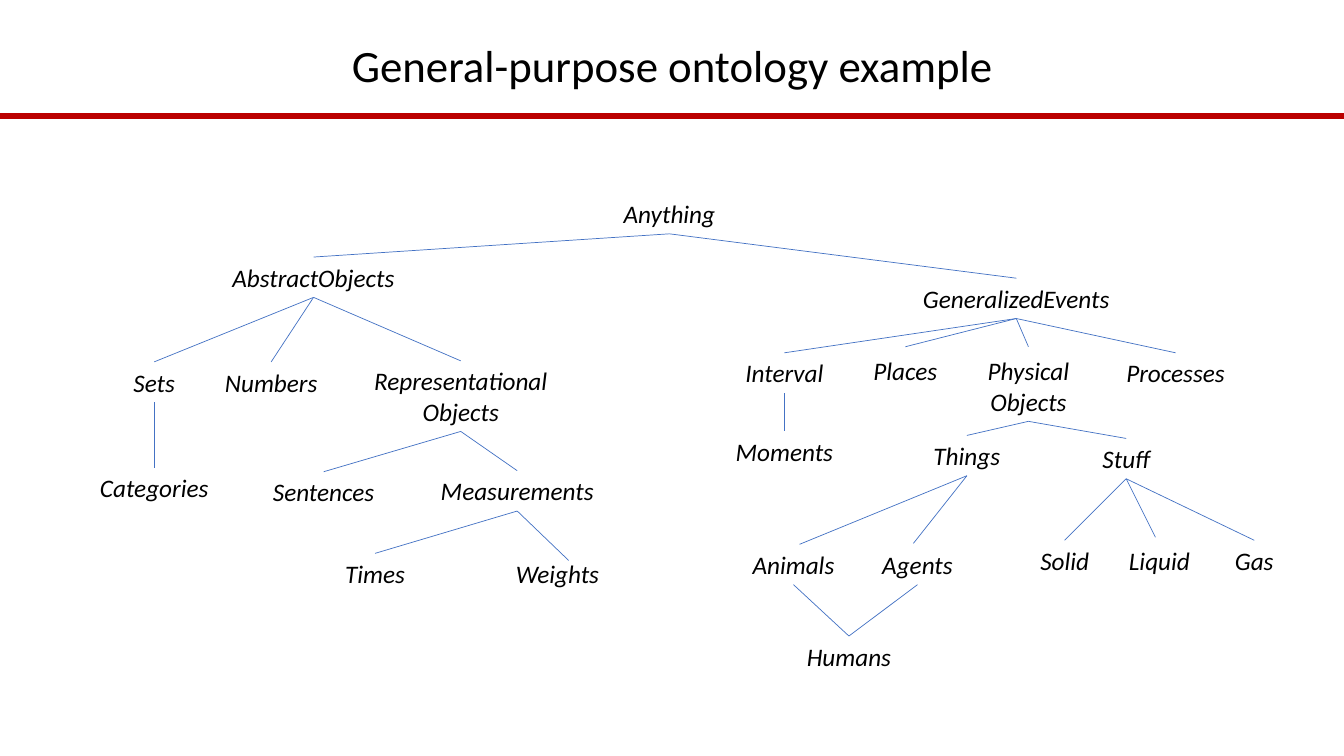
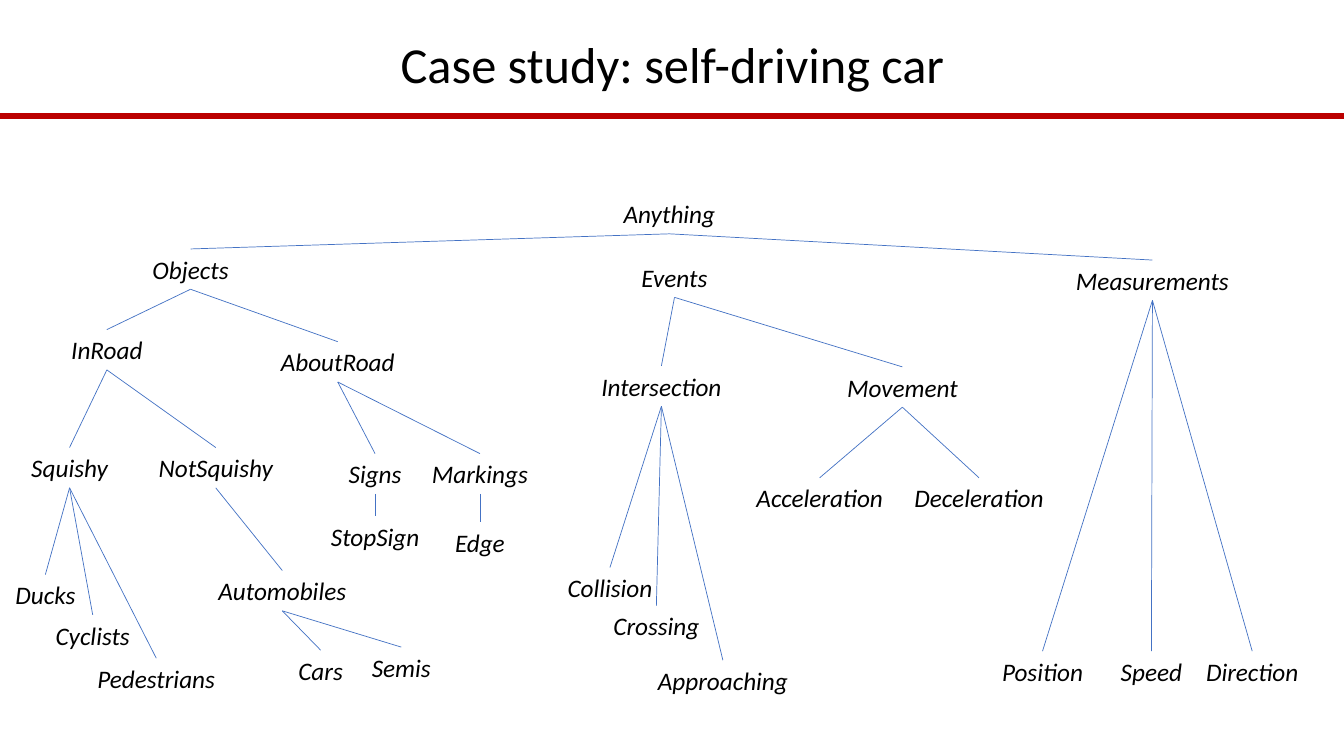
from dataclasses import dataclass

from lxml import etree
from pptx import Presentation, util as u
from pptx.dml.color import RGBColor
from pptx.enum import shapes, text
from pptx.oxml.ns import qn


@dataclass(frozen=True)
class Theme:
    font: str = "Calibri"
    ink: RGBColor = RGBColor(0, 0, 0)
    rule: RGBColor = RGBColor(0xBB, 0, 0)
    branch: RGBColor = RGBColor(0x44, 0x72, 0xC4)
    label_size: int = 18
    rule_width: float = 4
    branch_width: float = 0.5


@dataclass(frozen=True)
class Node:
    """A label centred on x; tip is a free end for the line that leads to it."""
    name: str
    parents: tuple
    x: float
    top: float
    width: float = 3.16
    height: float = 0.4
    tip: tuple = ()


class TreeDeck:
    width, height = 13.33, 7.5

    def __init__(self, theme):
        self.theme = theme
        self.deck = Presentation()
        self.deck.slide_width = u.Inches(self.width)
        self.deck.slide_height = u.Inches(self.height)
        self.layout = self.deck.slide_layouts.get_by_name("Title Only")
        self.page = None
        # Shared title position
        title = self.layout.placeholders[0]
        title.left, title.top = u.Inches(0.92), u.Inches(0.34)
        title.width, title.height = u.Inches(11.5), u.Inches(0.66)

    def style(self, para, size, italic=False):
        para.alignment = text.PP_ALIGN.CENTER
        para.font.name = self.theme.font
        para.font.size = u.Pt(size)
        para.font.italic = italic
        para.font.color.rgb = self.theme.ink

    def add_page(self, title, size):
        self.page = self.deck.slides.add_slide(self.layout)
        frame = self.page.shapes.title.text_frame
        frame.text = title
        frame.auto_size = text.MSO_AUTO_SIZE.NONE
        frame.vertical_anchor = text.MSO_ANCHOR.MIDDLE
        para = frame.paragraphs[0]
        para.line_spacing = 0.9
        self.style(para, size)
        if len(self.deck.slides) == 1:
            self.share_rule()

    def share_rule(self):
        """Put the red rule on the layout, so that every page shows it."""
        rule = self.line((0, 1.15), (self.width, 1.15),
                         self.theme.rule, self.theme.rule_width)
        rule.element.nvCxnSpPr.cNvPr.set("id", "20")
        self.layout.shapes.element.append(rule.element)

    def line(self, start, end, color, width):
        points = [u.Inches(value) for value in (*start, *end)]
        line = self.page.shapes.add_connector(shapes.MSO_CONNECTOR.STRAIGHT, *points)
        line.line.color.rgb = color
        line.line.width = u.Pt(width)
        etree.SubElement(line.element.spPr, qn("a:effectLst"))
        return line

    def label(self, node):
        box = self.page.shapes.add_textbox(
            u.Inches(node.x - node.width / 2), u.Inches(node.top),
            u.Inches(node.width), u.Inches(node.height))
        frame = box.text_frame
        frame.word_wrap = True
        frame.auto_size = text.MSO_AUTO_SIZE.SHAPE_TO_FIT_TEXT
        frame.text = node.name
        self.style(frame.paragraphs[0], self.theme.label_size, italic=True)
        return box

    def branch(self, parent_box, node, box):
        end = node.tip or (node.x, node.top)
        line = self.line((0, 0), end, self.theme.branch, self.theme.branch_width)
        line.begin_connect(parent_box, 2)
        if not node.tip:
            line.end_connect(box, 0)

    def tree(self, nodes):
        boxes = {}
        for node in nodes:
            boxes[node.name] = self.label(node)
        for node in nodes:
            for parent in node.parents:
                self.branch(boxes[parent], node, boxes[node.name])


ONTOLOGY = [
    Node("Anything", (), 6.64, 1.92),
    # Abstract side
    Node("AbstractObjects", ("Anything",), 3.11, 2.55),
    Node("Sets", ("AbstractObjects",), 1.53, 3.59),
    Node("Numbers", ("AbstractObjects",), 2.69, 3.59),
    Node("Representational Objects", ("AbstractObjects",), 4.57, 3.58, 2.33, 0.7),
    Node("Categories", ("Sets",), 1.53, 4.64),
    Node("Sentences", ("Representational Objects",), 3.21, 4.68),
    Node("Measurements", ("Representational Objects",), 5.13, 4.67),
    Node("Times", ("Measurements",), 3.72, 5.49),
    Node("Weights", ("Measurements",), 5.53, 5.49, tip=(5.64, 5.56)),
    # Event side
    Node("GeneralizedEvents", ("Anything",), 10.08, 2.76),
    Node("Interval", ("GeneralizedEvents",), 7.78, 3.5),
    Node("Places", ("GeneralizedEvents",), 8.98, 3.48, tip=(8.98, 3.44)),
    Node("Physical Objects", ("GeneralizedEvents",), 10.2, 3.48, 1.22, 0.7,
         tip=(10.2, 3.44)),
    Node("Processes", ("GeneralizedEvents",), 11.66, 3.5),
    Node("Moments", ("Interval",), 7.78, 4.28),
    Node("Things", ("Physical Objects",), 9.59, 4.32),
    Node("Stuff", ("Physical Objects",), 11.17, 4.35),
    Node("Animals", ("Things",), 7.87, 5.4, tip=(7.93, 5.4)),
    Node("Agents", ("Things",), 9.1, 5.4, tip=(9.06, 5.39)),
    Node("Humans", ("Animals", "Agents"), 8.42, 6.31),
    Node("Solid", ("Stuff",), 10.56, 5.36),
    Node("Liquid", ("Stuff",), 11.5, 5.36, tip=(11.46, 5.33)),
    Node("Gas", ("Stuff",), 12.44, 5.36),
]

DRIVING = [
    Node("Anything", (), 6.64, 1.92),
    # Objects
    Node("Objects", ("Anything",), 1.89, 2.47),
    Node("InRoad", ("Objects",), 1.06, 3.27, 1.31),
    Node("AboutRoad", ("Objects",), 3.35, 3.39, 1.91),
    Node("Squishy", ("InRoad",), 0.69, 4.44, 1.31),
    Node("NotSquishy", ("InRoad",), 2.14, 4.44, 1.58),
    Node("Ducks", ("Squishy",), 0.45, 5.7, 1.6),
    Node("Cyclists", ("Squishy",), 0.92, 6.1, 1.6),
    Node("Pedestrians", ("Squishy",), 1.55, 6.53, 1.6),
    Node("Automobiles", ("NotSquishy",), 2.8, 5.66, 1.6),
    Node("Cars", ("Automobiles",), 3.18, 6.45, 0.8),
    Node("Semis", ("Automobiles",), 3.98, 6.42, 0.8),
    Node("Signs", ("AboutRoad",), 3.72, 4.5, 1.79),
    Node("Markings", ("AboutRoad",), 4.76, 4.5, 1.79),
    Node("StopSign", ("Signs",), 3.72, 5.12, 1.79),
    Node("Edge", ("Markings",), 4.76, 5.18, 1.79),
    # Events
    Node("Events", (), 6.69, 2.55),
    Node("Intersection", ("Events",), 6.56, 3.63, 1.79),
    Node("Movement", ("Events",), 8.95, 3.64, 1.79),
    Node("Collision", ("Intersection",), 6.05, 5.63, 1.79),
    Node("Crossing", ("Intersection",), 6.51, 6.01, 1.79),
    Node("Approaching", ("Intersection",), 7.17, 6.55, 1.79),
    Node("Acceleration", ("Movement",), 8.13, 4.74, 1.58),
    Node("Deceleration", ("Movement",), 9.71, 4.74, 1.58),
    # Measurements
    Node("Measurements", ("Anything",), 11.43, 2.58),
    Node("Position", ("Measurements",), 10.34, 6.46, 1.58),
    Node("Speed", ("Measurements",), 11.42, 6.46, 1.58),
    Node("Direction", ("Measurements",), 12.42, 6.46, 1.58),
]


def main():
    slides = TreeDeck(Theme())
    slides.add_page("General-purpose ontology example", 32)
    slides.tree(ONTOLOGY)
    slides.add_page("Case study: self-driving car", 36)
    slides.tree(DRIVING)
    slides.deck.save("out.pptx")


if __name__ == "__main__":
    main()
